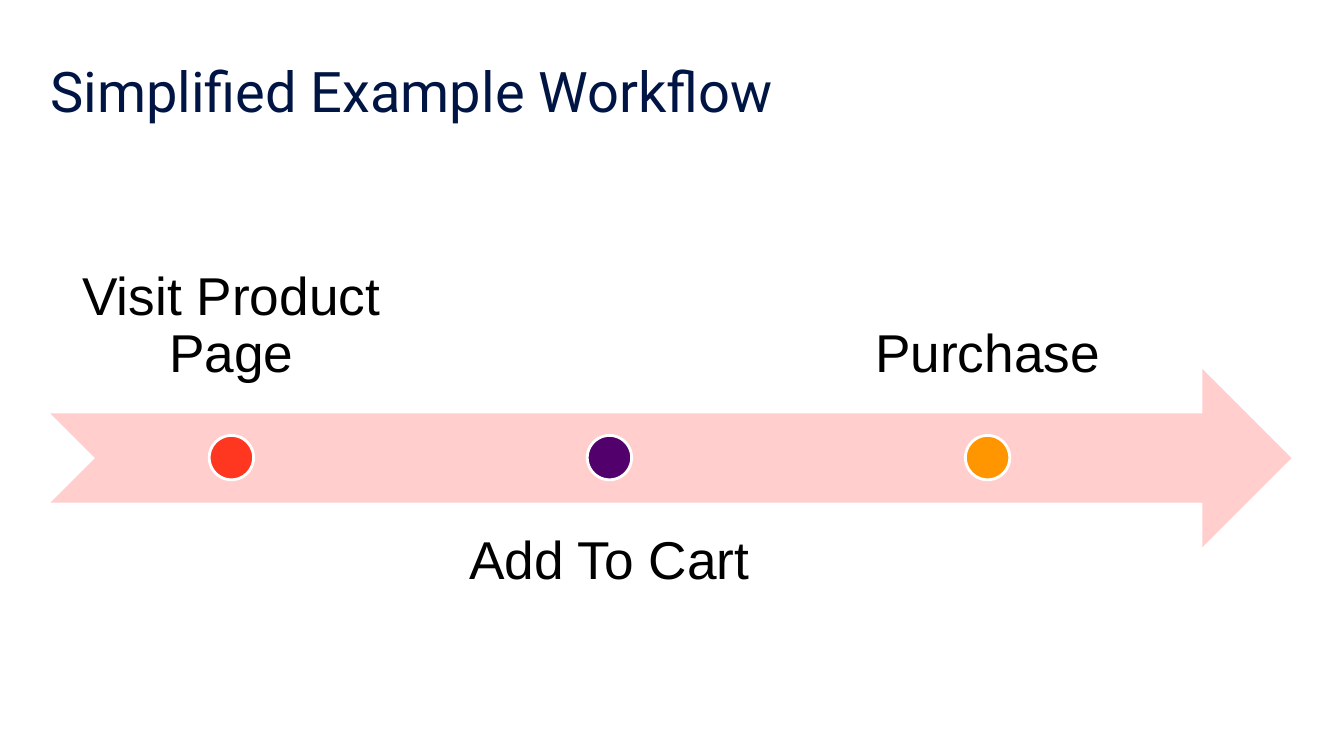
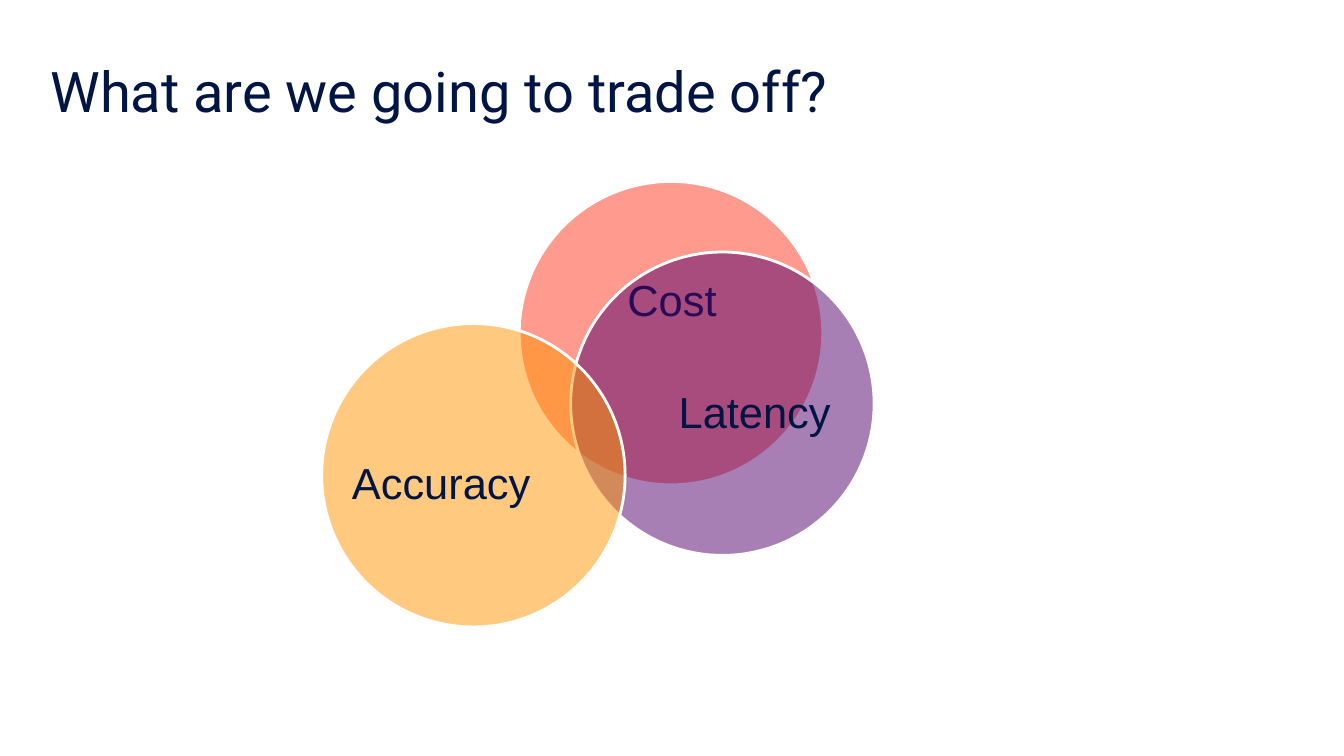
"""Build two slides: a purchase workflow timeline and a trade-off diagram."""
from lxml import etree
from pptx import Presentation
from pptx.dml.color import RGBColor
from pptx.enum import shapes, text
from pptx.oxml.ns import qn
from pptx.util import Inches, Pt

COLORS = {
    "navy": "001543",
    "black": "000000",
    "white": "FFFFFF",
    "pink": "FFCECD",
    "red": "FF3620",
    "purple": "51006C",
    "orange": "FF9600",
}
TITLE_BOX = (0.5, 0.2, 12.31, 1.09)
TITLE_STYLE = {"name": "Roboto", "size": Pt(40), "bold": False}
STAGE_STYLE = {"name": "Arial", "size": Pt(38)}
FACTOR_STYLE = {"name": "Arial", "size": Pt(31)}

ARROW_BOX = (0.5, 3.66, 12.31, 1.77)
STAGES = [("Visit Product Page", "red"), ("Add To Cart", "purple"), ("Purchase", "orange")]
STAGE_LEFT, STAGE_STEP, STAGE_WIDTH, STAGE_HEIGHT = 0.51, 3.75, 3.57, 1.77
UPPER_TOP, LOWER_TOP = 2.34, 4.99
DOT_TOP, DOT_SIZE = 4.32, 0.44

CIRCLE_SIZE = 3.01
FACTORS = [
    ("Cost", "red", (5.15, 1.8), (5.56, 2.32, 2.21, 1.36)),
    ("Latency", "purple", (5.66, 2.5), (6.58, 3.28, 1.81, 1.66)),
    ("Accuracy", "orange", (3.19, 3.21), (3.47, 3.99, 1.81, 1.66)),
]


def rgb(color):
    """Return the named colour."""
    return RGBColor.from_string(COLORS[color])


def apply(target, values):
    """Set every attribute in values on target."""
    for name, value in values.items():
        setattr(target, name, value)


def place(shape, box):
    """Move and size a shape to a box in inches."""
    apply(shape, dict(zip(("left", "top", "width", "height"), map(Inches, box))))


def write(shape, words, style, color, anchor, align, insets):
    """Fill a shape with one formatted paragraph."""
    frame = shape.text_frame
    horizontal, vertical = map(Inches, insets)
    apply(frame, {
        "text": words,
        "word_wrap": True,
        "auto_size": text.MSO_AUTO_SIZE.NONE,
        "vertical_anchor": anchor,
        "margin_left": horizontal,
        "margin_right": horizontal,
        "margin_top": vertical,
        "margin_bottom": vertical,
    })
    paragraph = frame.paragraphs[0]
    apply(paragraph, {"alignment": align, "line_spacing": 0.9, "space_before": Pt(0)})
    apply(paragraph.font, style)
    paragraph.font.color.rgb = rgb(color)


def add_titled_slide(presentation, title):
    """Add a slide with the shared title style."""
    slide = presentation.slides.add_slide(presentation.slide_layouts[5])
    place(slide.shapes.title, TITLE_BOX)
    write(slide.shapes.title, title, TITLE_STYLE, "navy",
          text.MSO_ANCHOR.BOTTOM, text.PP_ALIGN.LEFT, (0, 0.05))
    return slide


def add_label(slide, box, words, style, color, anchor, inset):
    """Add a centred text label."""
    label = slide.shapes.add_textbox(*map(Inches, box))
    write(label, words, style, color, anchor, text.PP_ALIGN.CENTER, (inset, inset))


def add_filled(slide, kind, box, color):
    """Add a flat shape without an outline."""
    shape = slide.shapes.add_shape(kind, *map(Inches, box))
    shape.shadow.inherit = False
    shape.fill.solid()
    shape.fill.fore_color.rgb = rgb(color)
    shape.line.fill.background()
    return shape


def add_circle(slide, left, top, size, color, opacity=100):
    """Add a white-edged circle with an optional opacity in percent."""
    circle = add_filled(slide, shapes.MSO_SHAPE.OVAL, (left, top, size, size), color)
    circle.line.color.rgb = rgb("white")
    circle.line.width = Pt(2)
    if opacity < 100:
        fill_color = circle.fill._xPr.find(qn("a:solidFill"))[0]
        etree.SubElement(fill_color, qn("a:alpha"), val=str(opacity * 1000))


def build_workflow(presentation):
    """Build the timeline with labels alternating above and below."""
    slide = add_titled_slide(presentation, "Simplified Example Workflow")
    add_filled(slide, shapes.MSO_SHAPE.NOTCHED_RIGHT_ARROW, ARROW_BOX, "pink")
    for index, (words, color) in enumerate(STAGES):
        left = STAGE_LEFT + index * STAGE_STEP
        below = index % 2
        top = LOWER_TOP if below else UPPER_TOP
        anchor = text.MSO_ANCHOR.TOP if below else text.MSO_ANCHOR.BOTTOM
        add_label(slide, (left, top, STAGE_WIDTH, STAGE_HEIGHT), words,
                  STAGE_STYLE, "black", anchor, 0.3)
        add_circle(slide, left + (STAGE_WIDTH - DOT_SIZE) / 2, DOT_TOP, DOT_SIZE, color)


def build_trade_off(presentation):
    """Build the overlapping circles with their labels."""
    slide = add_titled_slide(presentation, "What are we going to trade off?")
    for words, color, position, label_box in FACTORS:
        add_circle(slide, *position, CIRCLE_SIZE, color, opacity=50)
        add_label(slide, label_box, words, FACTOR_STYLE, "navy", text.MSO_ANCHOR.MIDDLE, 0)


def main():
    """Build and save the presentation."""
    presentation = Presentation()
    apply(presentation, {"slide_width": Inches(13.33), "slide_height": Inches(7.5)})
    build_workflow(presentation)
    build_trade_off(presentation)
    presentation.save("out.pptx")


if __name__ == "__main__":
    main()
